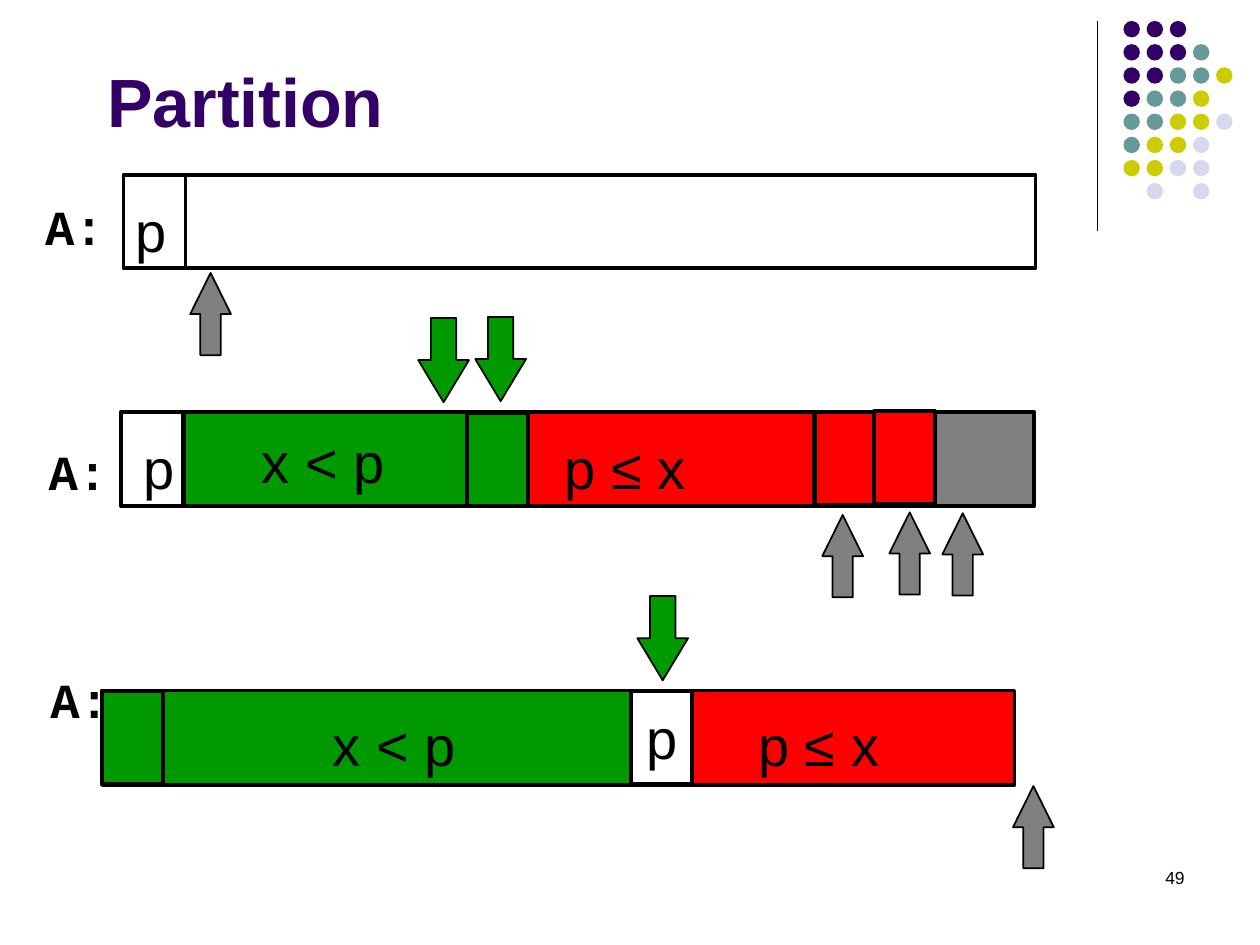
from lxml.etree import SubElement
from pptx import Presentation
from pptx.dml.color import RGBColor
from pptx.enum.shapes import MSO_CONNECTOR as Link, MSO_SHAPE as Form
from pptx.enum.text import MSO_ANCHOR as Anchor, PP_ALIGN as Align
from pptx.oxml.ns import qn
from pptx.util import Pt

BLACK, WHITE = "000000", "FFFFFF"
GREEN, RED, GRAY, PURPLE = "009900", "FF0000", "808080", "330066"
DOTS = {"P": PURPLE, "T": "669999", "Y": "CCCC00", "L": "D8D8EC"}
DOT_ROWS = ["PPP", "PPPT", "PPTTY", "PTTY", "TTYYL", "TYYL", "YYLL", " L L"]


def color(code):
    return RGBColor.from_string(code)


def write(frame, text, size=32, font="Arial", fill=BLACK, bold=False,
          align=Align.LEFT, anchor=Anchor.TOP, wrap=True, top=3.6):
    frame.word_wrap = wrap
    frame.vertical_anchor = anchor
    frame.margin_left = frame.margin_right = Pt(7.2)
    frame.margin_top, frame.margin_bottom = Pt(top), Pt(3.6)
    para = frame.paragraphs[0]
    para.alignment = align
    run = para.add_run()
    run.text = text
    run.font.name, run.font.size, run.font.bold = font, Pt(size), bold
    run.font.color.rgb = color(fill)


class Board:
    """Holds the current slide and the style of its parts."""

    def __init__(self, slide):
        self.slide = slide
        self.shapes = slide.shapes

    def title(self, text, x, y, w, h):
        head = self.shapes.title
        head.left, head.top, head.width, head.height = map(Pt, (x, y, w, h))
        write(head.text_frame, text, size=39, fill=PURPLE, bold=True,
              anchor=Anchor.MIDDLE)

    def shape(self, form, x, y, w, h, fill=None, line=BLACK, weight=2):
        item = self.shapes.add_shape(form, Pt(x), Pt(y), Pt(w), Pt(h))
        item.shadow.inherit = False
        if fill:
            item.fill.solid()
            item.fill.fore_color.rgb = color(fill)
        else:
            item.fill.background()
        if line:
            item.line.color.rgb = color(line)
            item.line.width = Pt(weight)
        else:
            item.line.fill.background()
        return item

    def box(self, x, y, w, h, fill=None, **style):
        return self.shape(Form.RECTANGLE, x, y, w, h, fill, **style)

    def cell(self, x, y, fill):
        return self.box(x, y, 34.6, 53.5, fill, weight=2.25)

    def up(self, x, y):
        item = self.shape(Form.UP_ARROW, x, y, 23.3, 47, GRAY, weight=1)
        item.adjustments[1] = 1.01

    def down(self, x, y):
        item = self.shape(Form.DOWN_ARROW, x, y, 29, 48.2, GREEN, weight=1)
        item.adjustments[1] = 0.83

    def line(self, x1, y1, x2, y2, weight=2):
        item = self.shapes.add_connector(Link.STRAIGHT, Pt(x1), Pt(y1), Pt(x2), Pt(y2))
        item.line.color.rgb = color(BLACK)
        item.line.width = Pt(weight)
        SubElement(item._element.spPr, qn("a:effectLst"))

    def label(self, text, x, y, w, h=45.4, **style):
        item = self.shapes.add_textbox(Pt(x), Pt(y), Pt(w), Pt(h))
        write(item.text_frame, text, **{"top": 6.6, **style})

    def name(self, x, y):
        self.label("A:", x, y, 49.8, 41, size=28, font="Courier New",
                   bold=True, align=Align.RIGHT)

    def dots(self, x, y, step=13.23, size=9.4):
        for row, keys in enumerate(DOT_ROWS):
            for col, key in enumerate(keys):
                if key in DOTS:
                    self.shape(Form.OVAL, x + col * step, y + row * step,
                               size, size, DOTS[key], line=None)


deck = Presentation()
deck.slide_width, deck.slide_height = Pt(720), Pt(540)
board = Board(deck.slides.add_slide(deck.slide_layouts[5]))
WIDE, HIGH = 521.4, 54

board.line(627, 12, 627, 132, weight=0.75)
board.dots(642, 12)
board.title("Partition", 54, 12, 612, 90)

# Start: pivot first, the rest not yet seen
board.box(70.5, 100, WIDE, 53.3)
board.line(105.9, 99.5, 105.9, 153.3)
board.label("p", 70.5, 105.8, 36)
board.name(16.6, 105.8)
board.up(108.7, 156)

# Middle: low part, high part, rest
top = 235.3
board.box(267.8, top, 198, HIGH, RED, weight=1)
board.box(69.2, top, WIDE, HIGH)
board.line(104.5, top - 0.5, 104.5, top + HIGH)
board.label("p", 75, 241, 36)
board.label("p ≤ x", 315.4, 241, 114.5)
board.box(465, top, 126, HIGH, GRAY)
board.box(105, top, 162, HIGH, GREEN)
board.label("x < p", 142.4, 237.8, 95.8)
board.name(18.6, 245.6)
for x, y, fill in [(465.7, top, RED), (499.6, 234.8, RED), (267.1, 235.8, GREEN)]:
    board.cell(x, y, fill)
for x, y in [(239, 181.7), (271.6, 181.1)]:
    board.down(x, y)
for x, y in [(469.9, 294.3), (508.2, 292.8), (538.5, 293.3)]:
    board.up(x, y)

# End: pivot between the two parts
top = 394.6
board.box(389.5, top, 190, HIGH, RED, line=WHITE, weight=1)
board.box(92.9, top, 302.4, HIGH, GREEN)
board.box(58.3, top, WIDE, HIGH)
board.label("x < p", 183, 399.6, 95.8)
board.label("p ≤ x", 426.2, 399.6, 114.5)
board.name(19.6, 376)
pivot = board.cell(360.8, top, WHITE)
write(pivot.text_frame, "p", align=Align.CENTER, anchor=Anchor.MIDDLE, wrap=False)
board.cell(58.3, top, GREEN)
board.down(364.2, 340.6)
board.up(578.9, 449.2)

board.label("49", 516, 492, 168, 36, size=10, align=Align.RIGHT, top=3.6)
deck.save("out.pptx")
